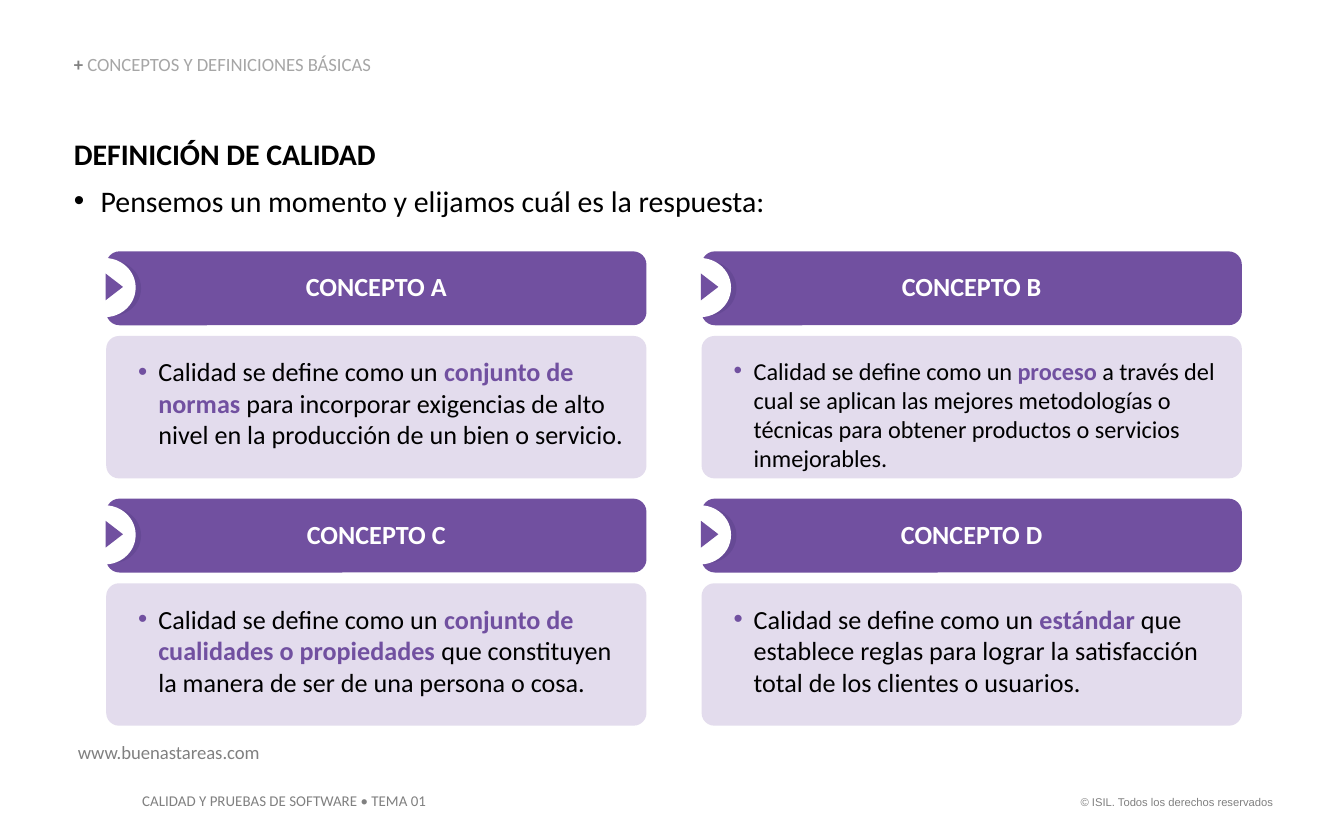
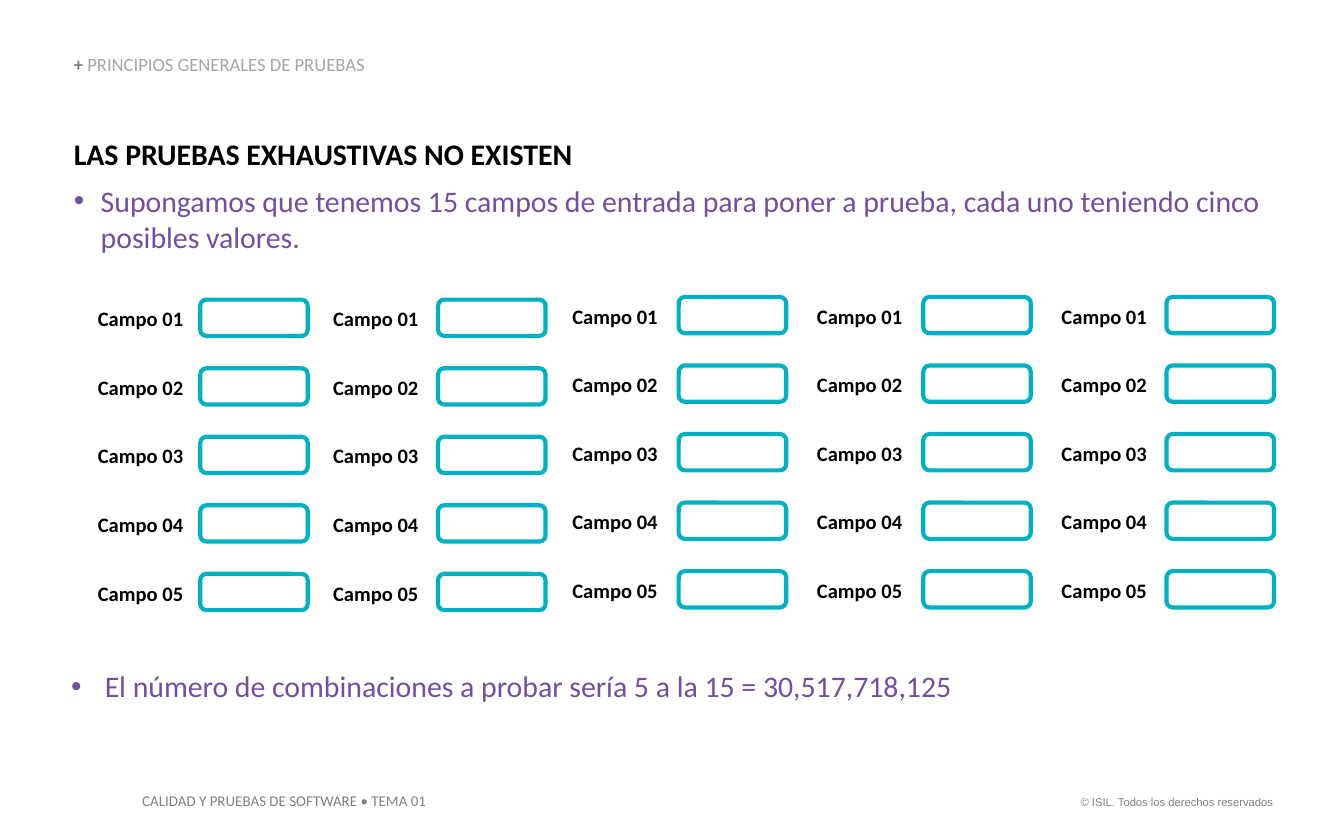
from dataclasses import dataclass

from lxml import etree
from pptx import Presentation
from pptx import util as u
from pptx.dml.color import RGBColor
from pptx.enum import shapes, text
from pptx.oxml.ns import qn


@dataclass(frozen=True)
class Theme:
    purple: str = "7150A0"
    dark_purple: str = "664995"
    lilac: str = "E3DCED"
    teal: str = "00B1C2"
    black: str = "000000"
    white: str = "FFFFFF"
    gray: str = "808080"
    light_gray: str = "A6A6A6"
    font: str = "Calibri"
    legal_font: str = "Arial"
    heading: float = 16
    card: float = 14
    dense_card: float = 13
    field: float = 11
    small: float = 10
    footer: float = 8
    legal: float = 6


THEME = Theme()
LEFT = text.PP_ALIGN.LEFT
CENTER = text.PP_ALIGN.CENTER
RIGHT = text.PP_ALIGN.RIGHT
TOP = text.MSO_ANCHOR.TOP
MIDDLE = text.MSO_ANCHOR.MIDDLE
BOTTOM = text.MSO_ANCHOR.BOTTOM
ROUNDED = shapes.MSO_SHAPE.ROUNDED_RECTANGLE
OVAL = shapes.MSO_SHAPE.OVAL
TRIANGLE = shapes.MSO_SHAPE.ISOSCELES_TRIANGLE

NO_INSETS = (0, 0, 0, 0)
BOX_INSETS = (0.1, 0.05, 0.1, 0.05)
CARD_INSETS = (0.12, 0.12, 0.12, 0.05)

CARD_LEFTS = (0.79, 5.22)
CARD_TOPS = (1.87, 3.71)
CARD_WIDTH = 4.02
CONCEPTS = (
    ("CONCEPTO A", "conjunto de normas",
     " para incorporar exigencias de alto nivel en la producción de un bien o servicio.",
     THEME.card),
    ("CONCEPTO B", "proceso",
     " a través del cual se aplican las mejores metodologías o técnicas para obtener "
     "productos o servicios inmejorables.", THEME.dense_card),
    ("CONCEPTO C", "conjunto de cualidades o propiedades",
     " que constituyen la manera de ser de una persona o cosa.", THEME.card),
    ("CONCEPTO D", "estándar",
     " que establece reglas para lograr la satisfacción total de los clientes o usuarios.",
     THEME.card),
)

FIELD_COLUMNS = (
    (0.63, 1.49, 2.23),
    (2.38, 3.26, 2.23),
    (4.16, 5.05, 2.21),
    (5.98, 6.87, 2.21),
    (7.80, 8.68, 2.21),
)
FIELD_ROWS = 5
FIELD_PITCH = 0.51


def set_bullet(paragraph, color, margin, hanging):
    properties = paragraph._p.get_or_add_pPr()
    properties.set("marL", str(u.Inches(margin)))
    properties.set("indent", str(-u.Inches(hanging)))
    bullet_color = etree.SubElement(properties, qn("a:buClr"))
    etree.SubElement(bullet_color, qn("a:srgbClr")).set("val", color)
    etree.SubElement(properties, qn("a:buFont")).set("typeface", "Arial")
    etree.SubElement(properties, qn("a:buChar")).set("char", "•")


def write(frame, *runs, size, color=THEME.black, bold=False, font=THEME.font,
          align=LEFT, spacing=1.0, after=0, level=0, bullet=None):
    paragraph = frame.paragraphs[0]
    if paragraph.runs:
        paragraph = frame.add_paragraph()
    paragraph.level = level
    if bullet:
        set_bullet(paragraph, *bullet)
    paragraph.alignment = align
    paragraph.line_spacing = spacing
    paragraph.space_before = u.Pt(0)
    paragraph.space_after = u.Pt(after)
    for wording, changes in runs:
        run = paragraph.add_run()
        run.text = wording
        run.font.name = font
        run.font.size = u.Pt(size)
        run.font.bold = changes.get("bold", bold)
        run.font.color.rgb = RGBColor.from_string(changes.get("color", color))


def format_frame(frame, insets, anchor=TOP, wrap=True, grow=False):
    frame.margin_left, frame.margin_top, frame.margin_right, frame.margin_bottom = map(
        u.Inches, insets)
    frame.vertical_anchor = anchor
    frame.word_wrap = wrap
    frame.auto_size = (text.MSO_AUTO_SIZE.SHAPE_TO_FIT_TEXT if grow
                       else text.MSO_AUTO_SIZE.NONE)
    return frame


def add_text_area(slide, box, insets=NO_INSETS, wrap=True):
    area = slide.shapes.add_textbox(*map(u.Inches, box))
    return format_frame(area.text_frame, insets, wrap=wrap, grow=True)


def add_block(slide, kind, box, fill, line=None, corner=None, rotation=0):
    block = slide.shapes.add_shape(kind, *map(u.Inches, box))
    block.shadow.inherit = False
    block.fill.solid()
    block.fill.fore_color.rgb = RGBColor.from_string(fill)
    if line:
        block.line.color.rgb = RGBColor.from_string(line)
        block.line.width = u.Pt(2.25)
    else:
        block.line.fill.background()
    if corner is not None:
        block.adjustments[0] = corner
    block.rotation = rotation
    return block


def add_section_title(slide, section):
    title = slide.shapes.title
    title.left, title.top, title.width, title.height = map(
        u.Inches, (0.55, 0.41, 3.61, 0.15))
    frame = format_frame(title.text_frame, NO_INSETS, anchor=BOTTOM, grow=True)
    write(frame, ("+ ", {"color": THEME.gray, "bold": True}), (section, {}),
          size=THEME.small, color=THEME.light_gray, spacing=0.9)


def add_footers(slide):
    legal = add_text_area(slide, (7.88, 5.87, 1.69, 0.2), BOX_INSETS, wrap=False)
    write(legal, ("© ISIL. Todos los derechos reservados", {}), size=THEME.legal,
          color=THEME.gray, font=THEME.legal_font, align=RIGHT)
    course = add_text_area(slide, (0.96, 5.84, 2.37, 0.24), BOX_INSETS, wrap=False)
    write(course, ("CALIDAD Y PRUEBAS DE SOFTWARE • TEMA 01", {}),
          size=THEME.footer, color=THEME.gray)


def add_heading(slide, box, heading, statement, color):
    frame = add_text_area(slide, box)
    write(frame, (heading, {}), size=THEME.heading, bold=True, after=6)
    write(frame, (statement, {}), size=THEME.heading, color=color,
          bullet=(color, 0.2, 0.2))


def add_marker(slide, left, top):
    add_block(slide, OVAL, (left - 0.17, top + 0.07, 0.43, 0.41), THEME.dark_purple)
    add_block(slide, OVAL, (left - 0.24, top + 0.05, 0.46, 0.44), THEME.white)
    add_block(slide, TRIANGLE, (left - 0.04, top + 0.2, 0.2, 0.13), THEME.purple,
              rotation=90)


def add_concept(slide, left, top, name, key_term, explanation, size):
    banner = add_block(slide, ROUNDED, (left, top, CARD_WIDTH, 0.55), THEME.purple,
                       corner=0.18)
    write(format_frame(banner.text_frame, BOX_INSETS, anchor=MIDDLE), (name, {}),
          size=THEME.card, color=THEME.white, bold=True, align=CENTER, spacing=0.9)
    definition = add_block(slide, ROUNDED, (left, top + 0.63, CARD_WIDTH, 1.06),
                           THEME.lilac, corner=0.09)
    write(format_frame(definition.text_frame, CARD_INSETS),
          ("Calidad se define como un ", {}),
          (key_term, {"color": THEME.purple, "bold": True}),
          (explanation, {}),
          size=size, level=1, bullet=(THEME.purple, 0.24, 0.15))
    add_marker(slide, left, top)


def add_field(slide, label_left, entry_left, top, number):
    label = add_text_area(slide, (label_left, top, 0.9, 0.29), BOX_INSETS)
    write(label, (f"Campo {number:02d}", {}), size=THEME.field, bold=True)
    add_block(slide, ROUNDED, (entry_left, top, 0.8, 0.27), THEME.white,
              line=THEME.teal, corner=0.17)


def start_slide(deck, section):
    slide = deck.slides.add_slide(deck.slide_layouts.get_by_name("Title Only"))
    add_footers(slide)
    add_section_title(slide, section)
    return slide


def build_quality_slide(deck):
    slide = start_slide(deck, "CONCEPTOS Y DEFINICIONES BÁSICAS")
    add_heading(slide, (0.55, 1.01, 5.36, 0.62), "DEFINICIÓN DE CALIDAD",
                "Pensemos un momento y elijamos cuál es la respuesta:", THEME.black)
    reference = add_text_area(slide, (0.58, 5.51, 5, 0.17))
    write(reference, ("www.buenastareas.com", {}), size=THEME.small, color=THEME.gray)
    for index, concept in enumerate(CONCEPTS):
        row, column = divmod(index, len(CARD_LEFTS))
        add_concept(slide, CARD_LEFTS[column], CARD_TOPS[row], *concept)


def build_testing_slide(deck):
    slide = start_slide(deck, "PRINCIPIOS GENERALES DE PRUEBAS")
    add_heading(slide, (0.55, 1.01, 8.94, 0.89), "LAS PRUEBAS EXHAUSTIVAS NO EXISTEN",
                "Supongamos que tenemos 15 campos de entrada para poner a prueba, "
                "cada uno teniendo cinco posibles valores.", THEME.purple)
    for label_left, entry_left, first_top in FIELD_COLUMNS:
        for row in range(FIELD_ROWS):
            add_field(slide, label_left, entry_left, first_top + row * FIELD_PITCH, row + 1)
    conclusion = add_text_area(slide, (0.53, 4.97, 9.04, 0.27))
    write(conclusion,
          ("El número de combinaciones a probar sería 5 a la 15 = 30,517,718,125", {}),
          size=THEME.heading, color=THEME.purple, bullet=(THEME.purple, 0.25, 0.25))


def main():
    deck = Presentation()
    deck.slide_width = u.Inches(10)
    deck.slide_height = u.Inches(6.25)
    build_quality_slide(deck)
    build_testing_slide(deck)
    deck.save("out.pptx")


if __name__ == "__main__":
    main()
